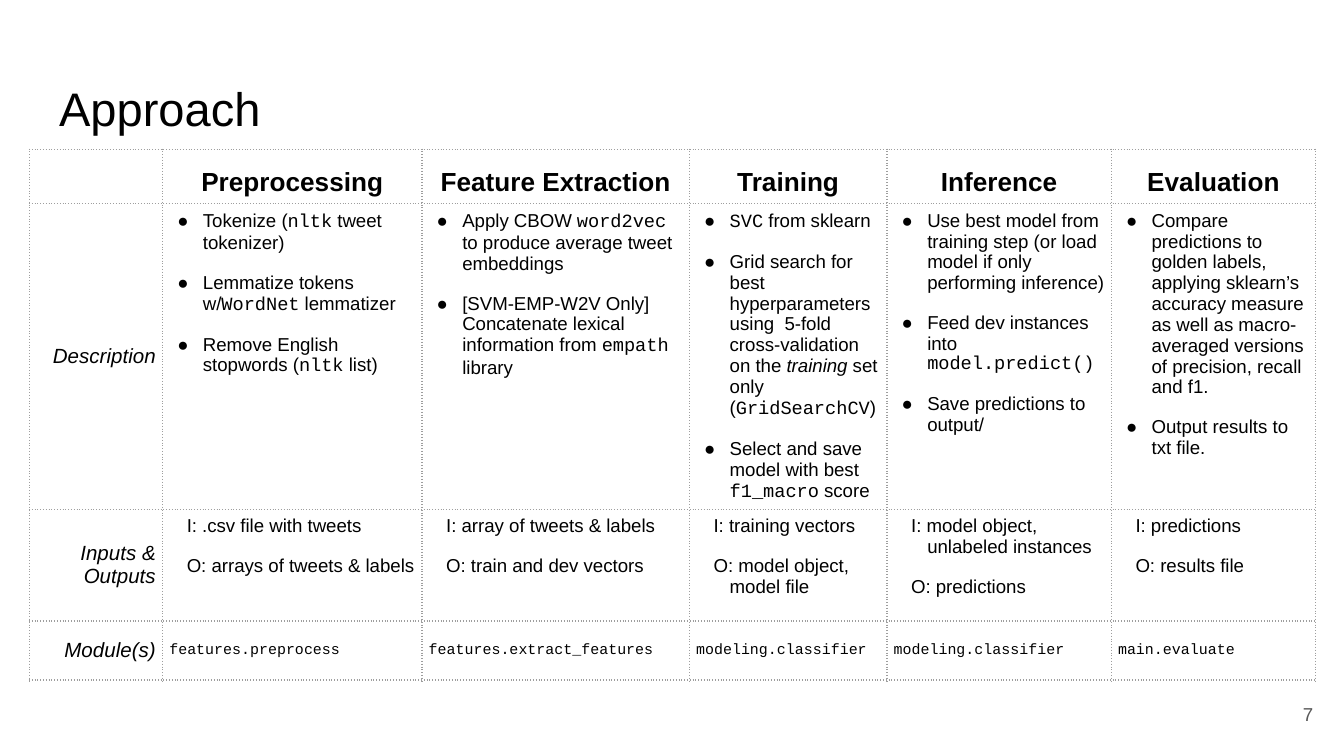
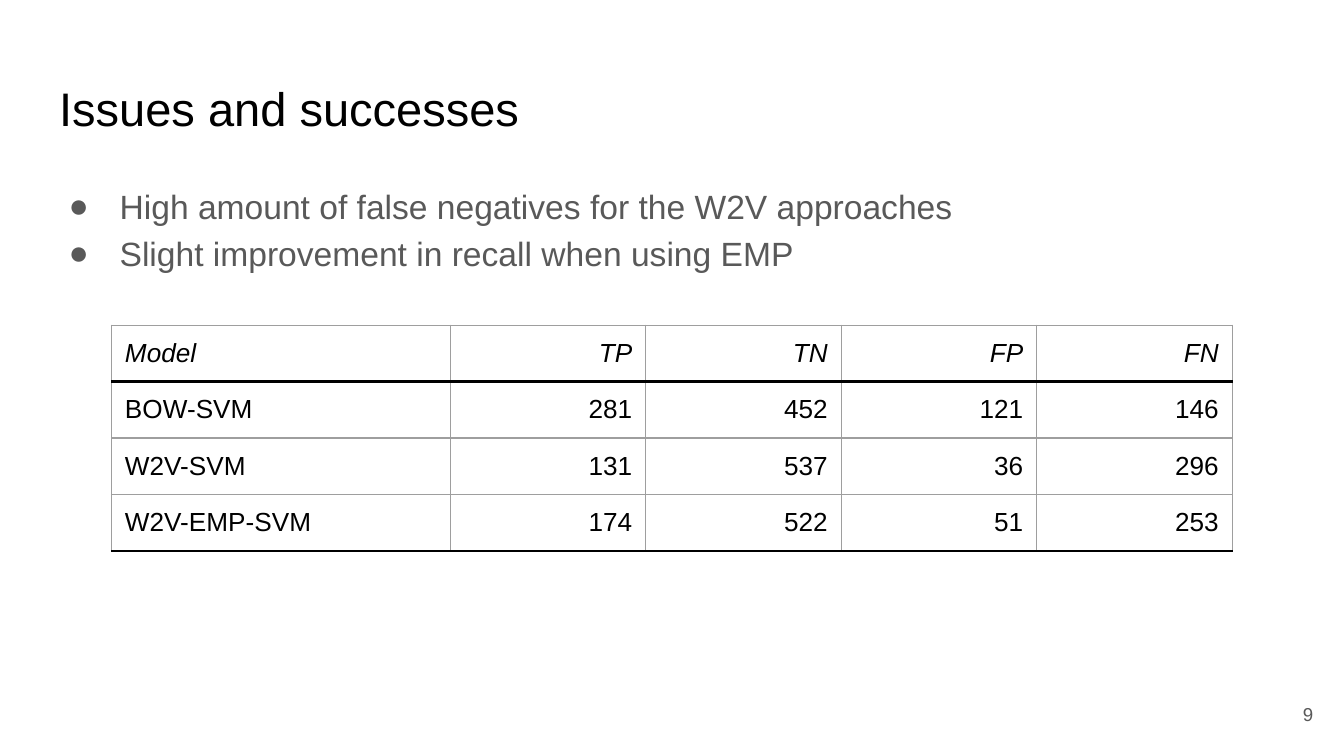
"""Build two slides on the approach and results of a tweet classifier."""
import pptx
import pptx.dml.color
import pptx.enum.text
import pptx.oxml
import pptx.oxml.ns
import pptx.util
from pptx.util import Inches

BLACK, GREY, RULE = "000000", "595959", "9E9E9E"
SANS, MONO = "Arial", "Courier New"
ALIGN = pptx.enum.text.PP_ALIGN
ANCHOR = pptx.enum.text.MSO_ANCHOR
LEFT, CENTER, RIGHT = ALIGN.LEFT, ALIGN.CENTER, ALIGN.RIGHT
TOP, MIDDLE, BOTTOM = ANCHOR.TOP, ANCHOR.MIDDLE, ANCHOR.BOTTOM

HEADS = ["", "Preprocessing", "Feature Extraction", "Training",
         "Inference", "Evaluation"]
STEPS = [
    ["Tokenize (`nltk` tweet tokenizer)",
     "Lemmatize tokens w/`WordNet` lemmatizer",
     "Remove English stopwords (`nltk` list)"],
    ["Apply CBOW `word2vec` to produce average tweet embeddings",
     "[SVM-EMP-W2V Only] Concatenate lexical information from `empath` library"],
    ["`SVC` from sklearn",
     "Grid search for best hyperparameters using  5-fold cross-validation "
     "on the *training* set only (`GridSearchCV`)",
     "Select and save model with best `f1_macro` score"],
    ["Use best model from training step (or load model if only "
     "performing inference)",
     "Feed dev instances into `model.predict()`",
     "Save predictions to output/"],
    ["Compare predictions to golden labels, applying sklearn’s accuracy "
     "measure as well as macro-averaged versions of precision, recall and f1.",
     "Output results to txt file."],
]
FLOWS = [
    ["I: .csv file with tweets", "O: arrays of tweets & labels"],
    ["I: array of tweets & labels", "O: train and dev vectors"],
    ["I: training vectors", "O: model object, model file"],
    ["I: model object, unlabeled instances", "O: predictions"],
    ["I: predictions", "O: results file"],
]
MODULES = ["features.preprocess", "features.extract_features",
           "modeling.classifier", "modeling.classifier", "main.evaluate"]
SCORES = [
    ["Model", "TP", "TN", "FP", "FN"],
    ["BOW-SVM", "281", "452", "121", "146"],
    ["W2V-SVM", "131", "537", "36", "296"],
    ["W2V-EMP-SVM", "174", "522", "51", "253"],
]


def color(code):
    return pptx.dml.color.RGBColor.from_string(code)


def style(run, size, tint=BLACK, face=SANS, bold=False, italic=False):
    font = run.font
    font.size, font.name = pptx.util.Pt(size), face
    font.bold, font.italic = bold, italic
    font.color.rgb = color(tint)


def fill(para, text, size, tint=BLACK, face=SANS, bold=False, italic=False):
    for i, chunk in enumerate(text.split("`")):
        for j, part in enumerate(chunk.split("*")):
            if part:
                run = para.add_run()
                run.text = part
                style(run, size, tint, MONO if i % 2 else face, bold,
                      italic or j % 2 == 1)


def write(frame, lines, size, align=LEFT, **look):
    for i, line in enumerate(lines):
        para = frame.add_paragraph() if i else frame.paragraphs[0]
        para.alignment = align
        para.space_before = para.space_after = pptx.util.Pt(0)
        fill(para, line, size, **look)


def indent(para, left, hang):
    props = para._p.get_or_add_pPr()
    props.set("marL", str(Inches(left)))
    props.set("indent", str(-Inches(hang)))
    return props


def bullet(para, left, hang, tint):
    props = indent(para, left, hang)
    space = pptx.oxml.ns.nsdecls("a")
    for mark in (f'<a:buClr {space}><a:srgbClr val="{tint}"/></a:buClr>',
                 f'<a:buFont {space} typeface="{SANS}"/>',
                 f'<a:buChar {space} char="●"/>'):
        props.append(pptx.oxml.parse_xml(mark))


def place(shape, left, top, width, height, anchor=TOP):
    shape.left, shape.top = Inches(left), Inches(top)
    shape.width, shape.height = Inches(width), Inches(height)
    frame = shape.text_frame
    frame.word_wrap = True
    frame.auto_size = pptx.enum.text.MSO_AUTO_SIZE.NONE
    frame.vertical_anchor = anchor
    inset(frame, 0.1)
    return frame


def inset(box, gap):
    box.margin_left = box.margin_right = Inches(gap)
    box.margin_top = box.margin_bottom = Inches(gap)


def page(deck, layout, title, number):
    slide = deck.slides.add_slide(deck.slide_layouts[layout])
    write(place(slide.shapes.title, 0.34, 0.49, 9.32, 0.63), [title], 25.2)
    box = slide.shapes.add_textbox(0, 0, 0, 0)
    write(place(box, 9.27, 5.1, 0.6, 0.43, MIDDLE), [number], 10, RIGHT,
          tint=GREY)
    return slide


def grid(slide, left, top, cols, rows):
    frame = slide.shapes.add_table(len(rows), len(cols), Inches(left),
                                   Inches(top), Inches(sum(cols)),
                                   Inches(sum(rows)))
    table = frame.table
    table.first_row = table.horz_banding = False
    for col, width in zip(table.columns, cols):
        col.width = Inches(width)
    for row, height in zip(table.rows, rows):
        row.height = Inches(height)
    return table


def edge(cell, side, tint, width, dash):
    cell._tc.get_or_add_tcPr().append(pptx.oxml.parse_xml(
        f'<a:ln{side} {pptx.oxml.ns.nsdecls("a")} w="{pptx.util.Pt(width)}">'
        f'<a:solidFill><a:srgbClr val="{tint}"/></a:solidFill>'
        f'<a:prstDash val="{dash}"/></a:ln{side}>'))


def dress(cell, gap, anchor, dash="solid", heavy=""):
    inset(cell, gap)
    cell.vertical_anchor = anchor
    for side in "LRTB":
        tint, width = (BLACK, 1.5) if side in heavy else (RULE, 0.75)
        edge(cell, side, tint, width, dash)
    cell.fill.background()


def steps(cell, lines, hang, dots):
    write(cell.text_frame, lines, 10)
    paras = cell.text_frame.paragraphs
    for para in paras[1:]:
        para.space_before = pptx.util.Pt(10)
    paras[-1].space_after = pptx.util.Pt(10)
    for para in paras:
        if dots:
            bullet(para, 0.25, hang, BLACK)
        else:
            indent(para, 0.25, hang)


def approach(deck):
    slide = page(deck, 5, "Approach", "7")
    table = grid(slide, 0.22, 1.11, [0.99, 1.93, 1.99, 1.47, 1.67, 1.52],
                 [0.4, 2.23, 0.83, 0.44])
    for r, body in enumerate([BOTTOM, TOP, TOP, MIDDLE]):
        for c in range(len(HEADS)):
            dress(table.cell(r, c), 0.05, body if c or not r else MIDDLE,
                  "dot")
    for c, head in enumerate(HEADS):
        write(table.cell(0, c).text_frame, [head], 14, CENTER, bold=True)
    labels = ["Description", "Inputs & Outputs", "Module(s)"]
    for r, label in enumerate(labels, 1):
        write(table.cell(r, 0).text_frame, [label], 11, RIGHT, italic=True)
    for c, (work, flow, module) in enumerate(zip(STEPS, FLOWS, MODULES), 1):
        steps(table.cell(1, c), work, 0.19, True)
        steps(table.cell(2, c), flow, 0.12, False)
        write(table.cell(3, c).text_frame, [module], 8, face=MONO)


def results(deck):
    slide = page(deck, 1, "Issues and successes", "9")
    frame = place(slide.placeholders[1], 0.29, 1.24, 9.32, 3.74)
    write(frame, ["High amount of false negatives for the W2V approaches",
                  "Slight improvement in recall when using EMP"], 18,
          tint=GREY)
    frame.paragraphs[0].space_before = pptx.util.Pt(12)
    for para in frame.paragraphs:
        para.line_spacing = 1.15
        bullet(para, 0.5, 0.38, GREY)
    first, total = 2.52, 8.34
    table = grid(slide, 0.83, 2.42, [first] + [(total - first) / 4] * 4,
                 [0.42] * 4)
    heavy = ["B", "T", "", "B"]
    for r, row in enumerate(SCORES):
        for c, text in enumerate(row):
            cell = table.cell(r, c)
            write(cell.text_frame, [text], 14, RIGHT if c else LEFT,
                  italic=r == 0)
            dress(cell, 0.1, MIDDLE if c and r > 1 else TOP, heavy=heavy[r])


def main():
    deck = pptx.Presentation()
    deck.slide_width = Inches(10)
    deck.slide_height = deck.slide_width * 9 // 16
    approach(deck)
    results(deck)
    deck.save("out.pptx")


if __name__ == "__main__":
    main()
